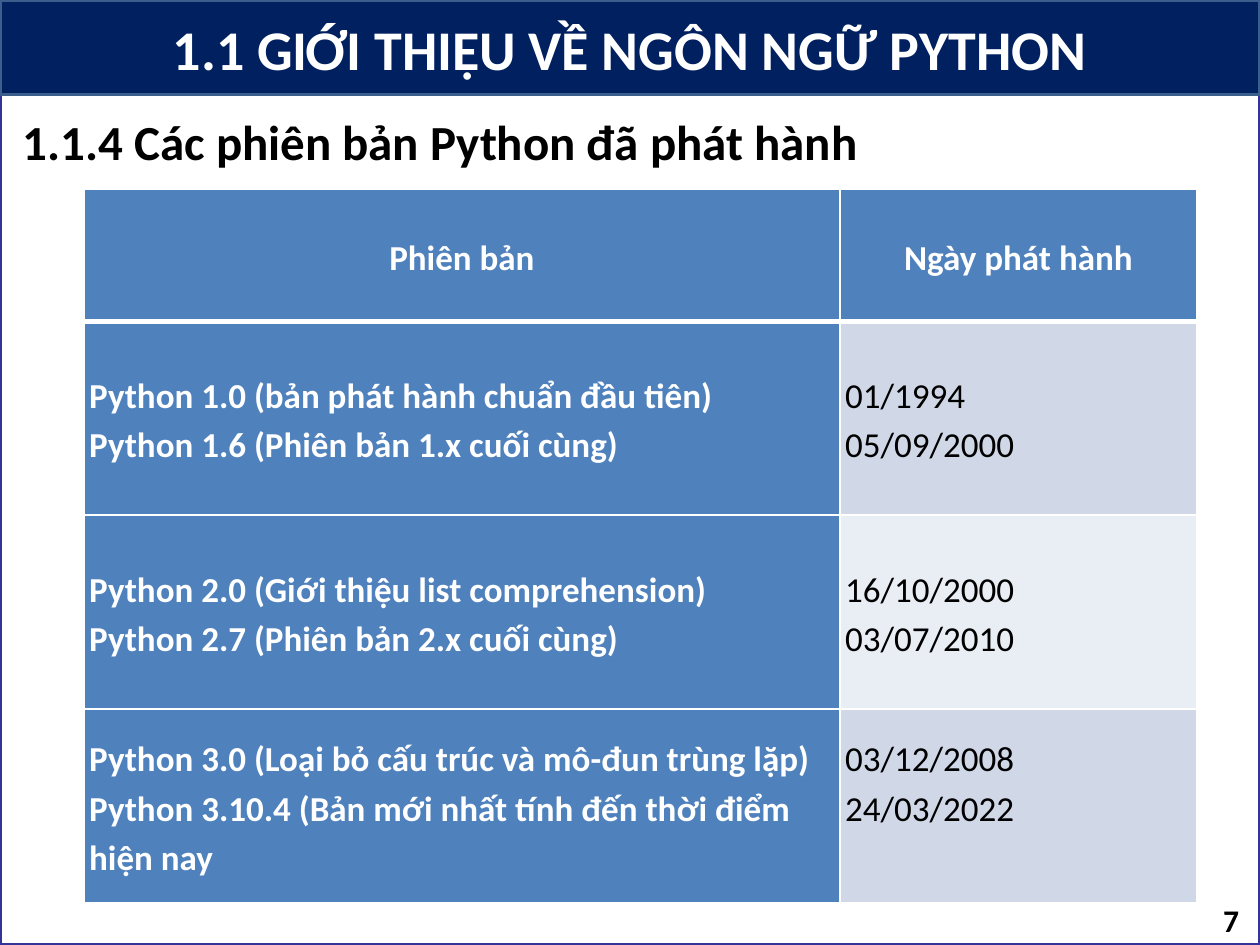
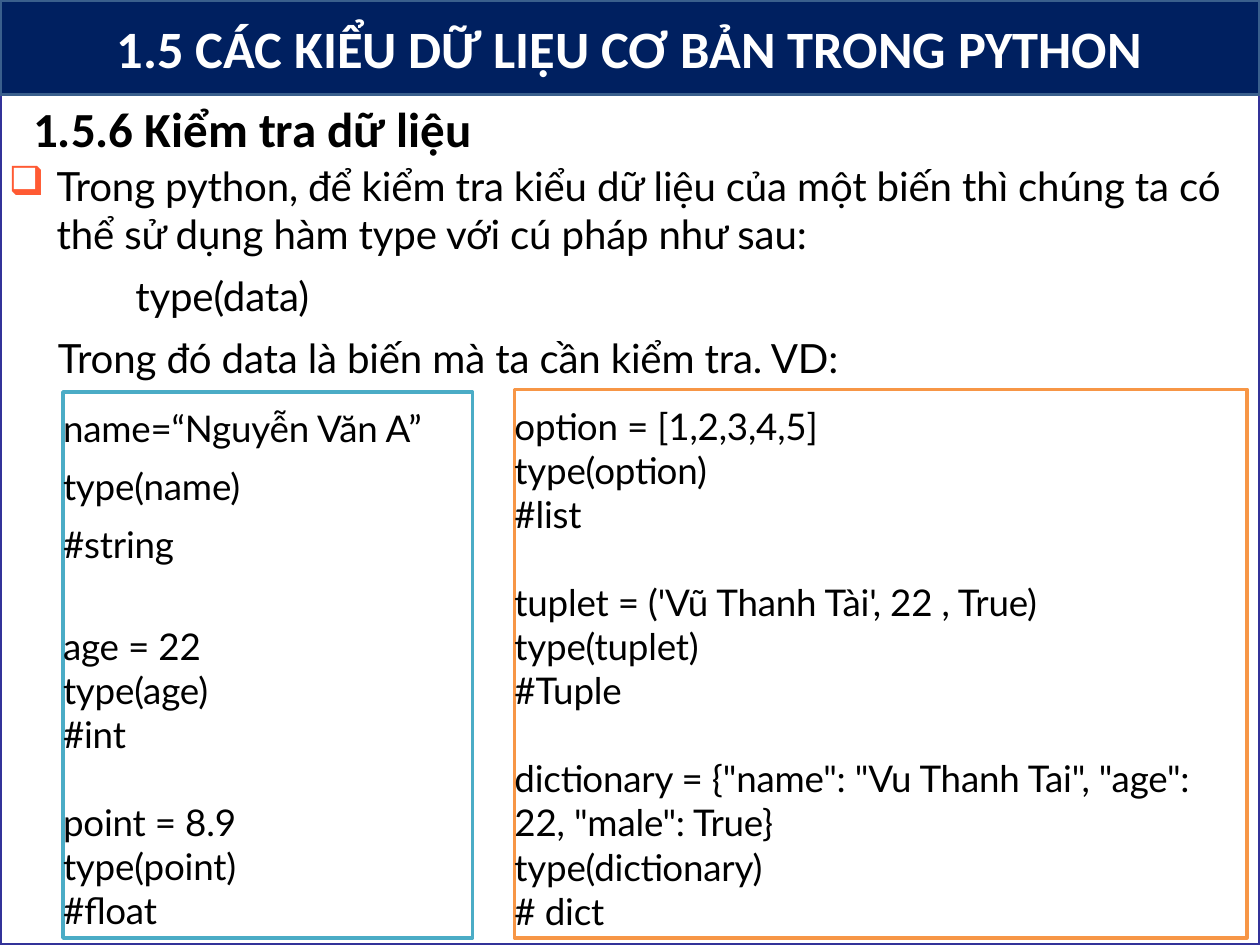
from pptx import Presentation
from pptx.dml.color import RGBColor
from pptx.enum.shapes import MSO_SHAPE as Shape
from pptx.enum.text import MSO_ANCHOR as Anchor, PP_ALIGN as Align
from pptx.oxml.ns import qn
from pptx.util import Pt
from lxml.etree import SubElement

COLORS = {
    "white": "FFFFFF", "black": "000000", "frame": "333399",
    "band": "002060", "band_line": "3A5F8C", "bullet": "FF5A33",
    "table": "4F81BD", "odd": "D0D8E8", "even": "E9EDF4",
    "teal": "4BACC6", "orange": "F79646",
}
WIDTH, HEIGHT = 720, 540
CODE_LINE = 25.2
GAP = 7.8

VERSIONS = [
    (["Python 1.0 (bản phát hành chuẩn đầu tiên)",
      "Python 1.6 (Phiên bản 1.x cuối cùng)"],
     ["01/1994", "05/09/2000"]),
    (["Python 2.0 (Giới thiệu list comprehension)",
      "Python 2.7 (Phiên bản 2.x cuối cùng)"],
     ["16/10/2000", "03/07/2010"]),
    (["Python 3.0 (Loại bỏ cấu trúc và mô-đun trùng lặp)",
      "Python 3.10.4 (Bản mới nhất tính đến thời điểm hiện nay"],
     ["03/12/2008", "24/03/2022"]),
]
SIMPLE_TYPES = [
    ["name=“Nguyễn Văn A”", "type(name)", "#string"],
    ["age = 22", "type(age)", "#int"],
    ["point = 8.9", "type(point)", "#float"],
]
COLLECTION_TYPES = [
    ["option = [1,2,3,4,5]", "type(option)", "#list"],
    ["tuplet = ('Vũ Thanh Tài', 22 , True)", "type(tuplet)", "#Tuple"],
    ['dictionary = {"name": "Vu Thanh Tai", "age": 22, "male": True}',
     "type(dictionary)", "# dict"],
]


def color(name):
    return RGBColor.from_string(COLORS[name])


class Lecture:
    def __init__(self):
        self.deck = Presentation()
        self.deck.slide_width, self.deck.slide_height = Pt(WIDTH), Pt(HEIGHT)
        self.page = None

    def new_page(self, title, size):
        self.page = self.deck.slides.add_slide(self.deck.slide_layouts[6])
        self.rectangle(0, 0, WIDTH, HEIGHT, "white", "frame")
        self.rectangle(0, 0, WIDTH, 54, "band", "band_line")
        frame = self.text_box(6, 8, 708, 38, (0, 0.7), Anchor.MIDDLE)
        self.add_text(frame, title, size, "white", bold=True, align=Align.CENTER, before=1)

    def rectangle(self, left, top, width, height, fill, line):
        box = self.page.shapes.add_shape(
            Shape.RECTANGLE, Pt(left), Pt(top), Pt(width), Pt(height))
        box.shadow.inherit = False
        box.fill.solid()
        box.fill.fore_color.rgb = color(fill)
        box.line.color.rgb = color(line)
        box.line.width = Pt(2)
        return box

    def prepare(self, frame, insets, anchor):
        frame.word_wrap = True
        frame.vertical_anchor = anchor
        side, top = insets
        frame.margin_left = frame.margin_right = Pt(side)
        frame.margin_top, frame.margin_bottom = Pt(top), Pt(0)
        return frame

    def text_box(self, left, top, width, height, insets=(0, 8), anchor=Anchor.TOP):
        box = self.page.shapes.add_textbox(Pt(left), Pt(top), Pt(width), Pt(height))
        return self.prepare(box.text_frame, insets, anchor)

    def add_text(self, frame, text, size, ink="black", font="Calibri", bold=False,
                 align=Align.LEFT, before=0, spacing=None, indent=0, hanging=0, track=0):
        first = frame.paragraphs[0]
        para = frame.add_paragraph() if first.runs else first
        para.alignment = align
        para.space_before = Pt(before)
        if spacing:
            para.line_spacing = spacing
        properties = para._p.get_or_add_pPr()
        properties.set("marL", str(Pt(indent)))
        properties.set("indent", str(Pt(-hanging)))
        span = para.add_run()
        span.text = text
        span.font.name, span.font.size, span.font.bold = font, Pt(size), bold
        span.font.color.rgb = color(ink)
        if track:
            span._r.get_or_add_rPr().set("spc", str(track))
        return para

    def bullet(self, para, mark):
        properties = para._p.get_or_add_pPr()
        tint = SubElement(properties, qn("a:buClr"))
        SubElement(tint, qn("a:srgbClr"), val=COLORS["bullet"])
        SubElement(properties, qn("a:buChar"), char=mark)

    def body(self, frame, text, size=23, **style):
        return self.add_text(frame, text, size, font="Lato", track=-10, **style)

    def number(self, text):
        frame = self.text_box(540, 511, 168, 29, (0, 0.7), Anchor.MIDDLE)
        self.add_text(frame, text, 18, bold=True, align=Align.RIGHT, before=1)

    def code(self, left, top, width, height, line, groups, opening_gap=0):
        box = self.rectangle(left, top, width, height, "white", line)
        frame = self.prepare(box.text_frame, (0, 8), Anchor.TOP)
        for group_index, group in enumerate(groups):
            gap = 0 if group_index else opening_gap
            for index, text in enumerate(group):
                before = gap
                if group_index and index == 0:
                    before = CODE_LINE + (opening_gap if group_index == 1 else 0)
                self.body(frame, text, 21, before=before)

    def cell(self, cell, lines, fill, ink, bold, align, margin, weights):
        properties = cell._tc.get_or_add_tcPr()
        for side, weight in zip("LRTB", weights):
            edge = SubElement(properties, qn(f"a:ln{side}"), w=str(Pt(weight)))
            paint = SubElement(edge, qn("a:solidFill"))
            SubElement(paint, qn("a:srgbClr"), val=COLORS["white"])
        cell.fill.solid()
        cell.fill.fore_color.rgb = color(fill)
        cell.vertical_anchor = Anchor.MIDDLE
        cell.margin_left = cell.margin_right = Pt(margin)
        cell.margin_top = cell.margin_bottom = Pt(margin)
        for text in lines:
            self.add_text(cell.text_frame, text, 20, ink, bold=bold, align=align, spacing=1.15)

    def table(self, left, top, widths, heights, headers, rows):
        table = self.page.shapes.add_table(
            len(heights), len(widths), Pt(left), Pt(top),
            Pt(sum(widths)), Pt(sum(heights))).table
        table.first_row = table.horz_banding = False
        for column, width in zip(table.columns, widths):
            column.width = Pt(width)
        for row, height in zip(table.rows, heights):
            row.height = Pt(height)
        for index, header in enumerate(headers):
            self.cell(table.cell(0, index), [header], "table", "white", True,
                      Align.CENTER, 0, (1, 1, 1, 3))
        for index, (names, dates) in enumerate(rows, 1):
            weights = (1, 1, 3 if index == 1 else 1, 1)
            shade = "odd" if index % 2 else "even"
            self.cell(table.cell(index, 0), names, "table", "white", True,
                      Align.LEFT, 3, weights)
            self.cell(table.cell(index, 1), dates, shade, "black", False,
                      Align.LEFT, 3, weights)
        return table


def versions_page(lecture):
    lecture.new_page("1.1 GIỚI THIỆU VỀ NGÔN NGỮ PYTHON", 32)
    lecture.number("7")
    table = lecture.table(48, 108, [432, 204], [75.6, 110.8, 110.8, 110.8],
                          ["Phiên bản", "Ngày phát hành"], VERSIONS)
    table.cell(3, 1).margin_bottom = Pt(31)
    heading = lecture.text_box(6, 60, 690, 41, (7.2, 3.6))
    lecture.add_text(heading, "1.1.4 Các phiên bản Python đã phát hành", 28, bold=True)


def type_check_page(lecture):
    lecture.new_page("1.5 CÁC KIỂU DỮ LIỆU CƠ BẢN TRONG PYTHON", 30)
    intro = lecture.text_box(4.3, 84.2, 708, 135)
    para = lecture.body(
        intro, "Trong python, để kiểm tra kiểu dữ liệu của một biến thì chúng ta có "
        "thể sử dụng hàm type với cú pháp như sau:",
        before=GAP, indent=28, hanging=27.4)
    lecture.bullet(para, "❑")
    lecture.body(intro, "type(data)", before=GAP, indent=73)
    lecture.body(intro, "Trong đó data là biến mà ta cần kiểm tra. VD:",
                 before=GAP, indent=28.8)
    lecture.code(36, 224, 234, 312, "teal", SIMPLE_TYPES, GAP)
    lecture.code(294, 222.5, 418.5, 313.5, "orange", COLLECTION_TYPES)
    heading = lecture.text_box(18, 48.2, 643, 42)
    lecture.add_text(heading, "1.5.6 Kiểm tra dữ liệu", 28, bold=True, before=GAP, indent=1)


def main():
    lecture = Lecture()
    versions_page(lecture)
    type_check_page(lecture)
    lecture.deck.save("out.pptx")


if __name__ == "__main__":
    main()
